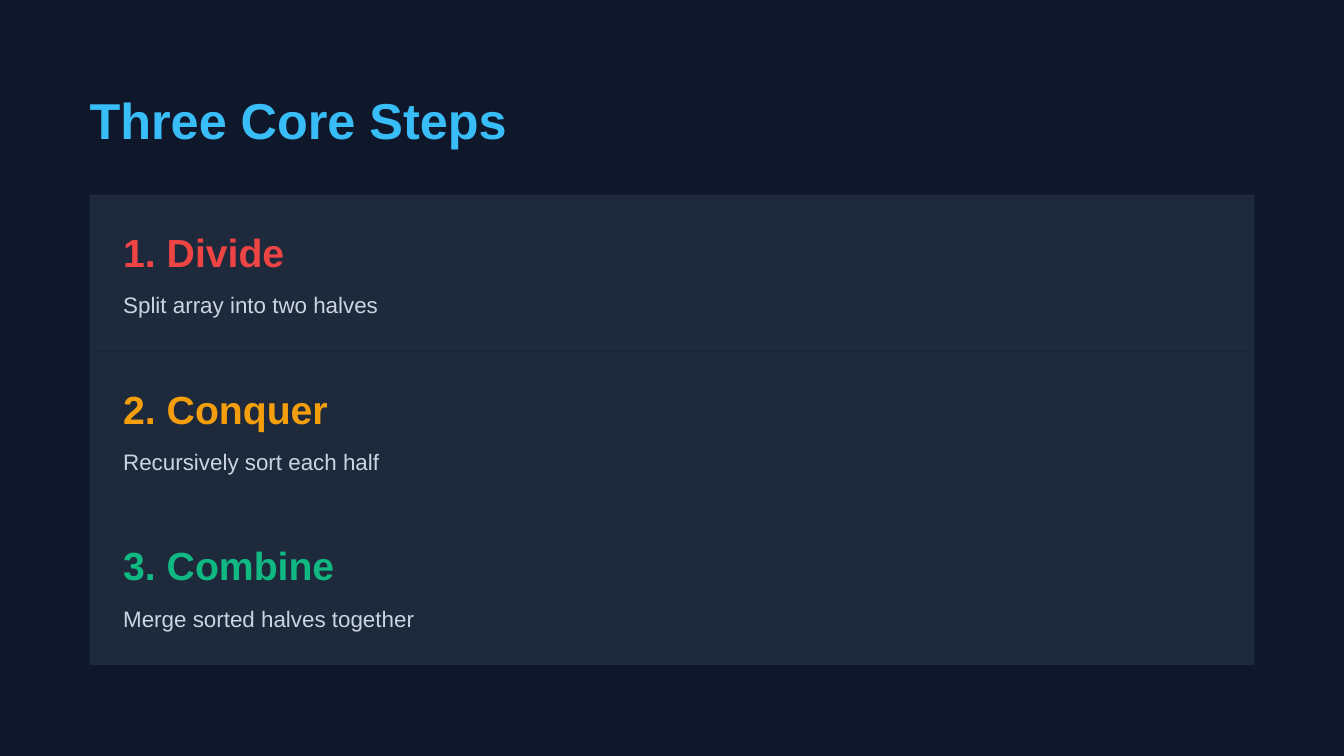
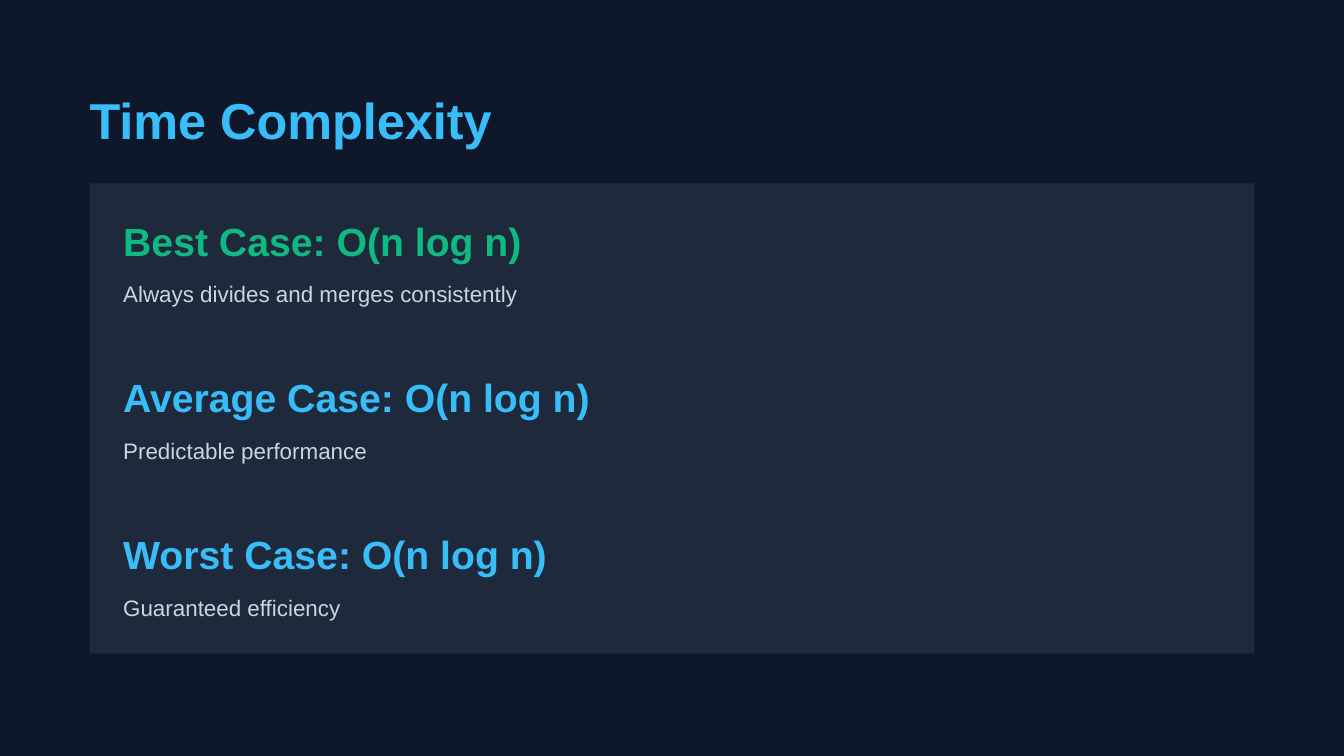
from pptx import Presentation
from pptx.dml.color import RGBColor
from pptx.enum.shapes import MSO_SHAPE
from pptx.util import Pt

PX = 9525
NAVY = RGBColor(0x0F, 0x17, 0x2A)
SLATE = RGBColor(0x1E, 0x29, 0x3B)
SKY = RGBColor(0x38, 0xBD, 0xF8)
RED = RGBColor(0xEF, 0x44, 0x44)
AMBER = RGBColor(0xF5, 0x9E, 0x0B)
GREEN = RGBColor(0x10, 0xB9, 0x81)
MIST = RGBColor(0xCB, 0xD5, 0xE1)

MARGIN = 64
CARD_WIDTH = 832
CARD_HEIGHT = 112
CARD_PADDING = 24
BODY_OFFSET = 66


class Deck:
    font = "Arial"

    def __init__(self):
        self.presentation = Presentation()
        self.presentation.slide_width = 960 * PX
        self.presentation.slide_height = 540 * PX
        self.slide = None

    def add_slide(self, title):
        self.slide = self.presentation.slides.add_slide(self.presentation.slide_layouts[6])
        background = self.slide.background.fill
        background.solid()
        background.fore_color.rgb = NAVY
        self.text(title, (MARGIN, MARGIN, 849, 43), 27, 32.4, SKY, bold=True)

    def text(self, words, box, size, line_height, color, bold=False):
        frame = self.slide.shapes.add_textbox(*(length * PX for length in box)).text_frame
        frame.word_wrap = True
        frame.margin_left = frame.margin_top = frame.margin_right = frame.margin_bottom = 0
        paragraph = frame.paragraphs[0]
        paragraph.line_spacing = Pt(line_height)
        run = paragraph.add_run()
        run.text = words
        run.font.name = self.font
        run.font.size = Pt(size)
        run.font.bold = bold
        run.font.color.rgb = color

    def rectangle(self, box, color):
        shape = self.slide.shapes.add_shape(
            MSO_SHAPE.RECTANGLE, *(length * PX for length in box))
        shape.shadow.inherit = False
        shape.fill.solid()
        shape.fill.fore_color.rgb = color
        shape.line.fill.background()

    def card(self, top, heading, body, accent):
        left = MARGIN + CARD_PADDING
        self.rectangle((MARGIN, top, CARD_WIDTH, CARD_HEIGHT), SLATE)
        self.text(heading, (left, top + CARD_PADDING, 800, 34), 21, 25.2, accent, bold=True)
        self.text(body, (left, top + BODY_OFFSET, 800, 22), 12, 16.8, MIST)

    def card_stack(self, top, cards):
        for index, (heading, body, accent) in enumerate(cards):
            self.card(top + index * CARD_HEIGHT, heading, body, accent)


def main():
    deck = Deck()

    deck.add_slide("Three Core Steps")
    deck.card_stack(139, [
        ("1. Divide", "Split array into two halves", RED),
        ("2. Conquer", "Recursively sort each half", AMBER),
        ("3. Combine", "Merge sorted halves together", GREEN),
    ])

    deck.add_slide("Time Complexity")
    deck.card_stack(131, [
        ("Best Case: O(n log n)", "Always divides and merges consistently", GREEN),
        ("Average Case: O(n log n)", "Predictable performance", SKY),
        ("Worst Case: O(n log n)", "Guaranteed efficiency", SKY),
    ])

    deck.presentation.save("out.pptx")


if __name__ == "__main__":
    main()
